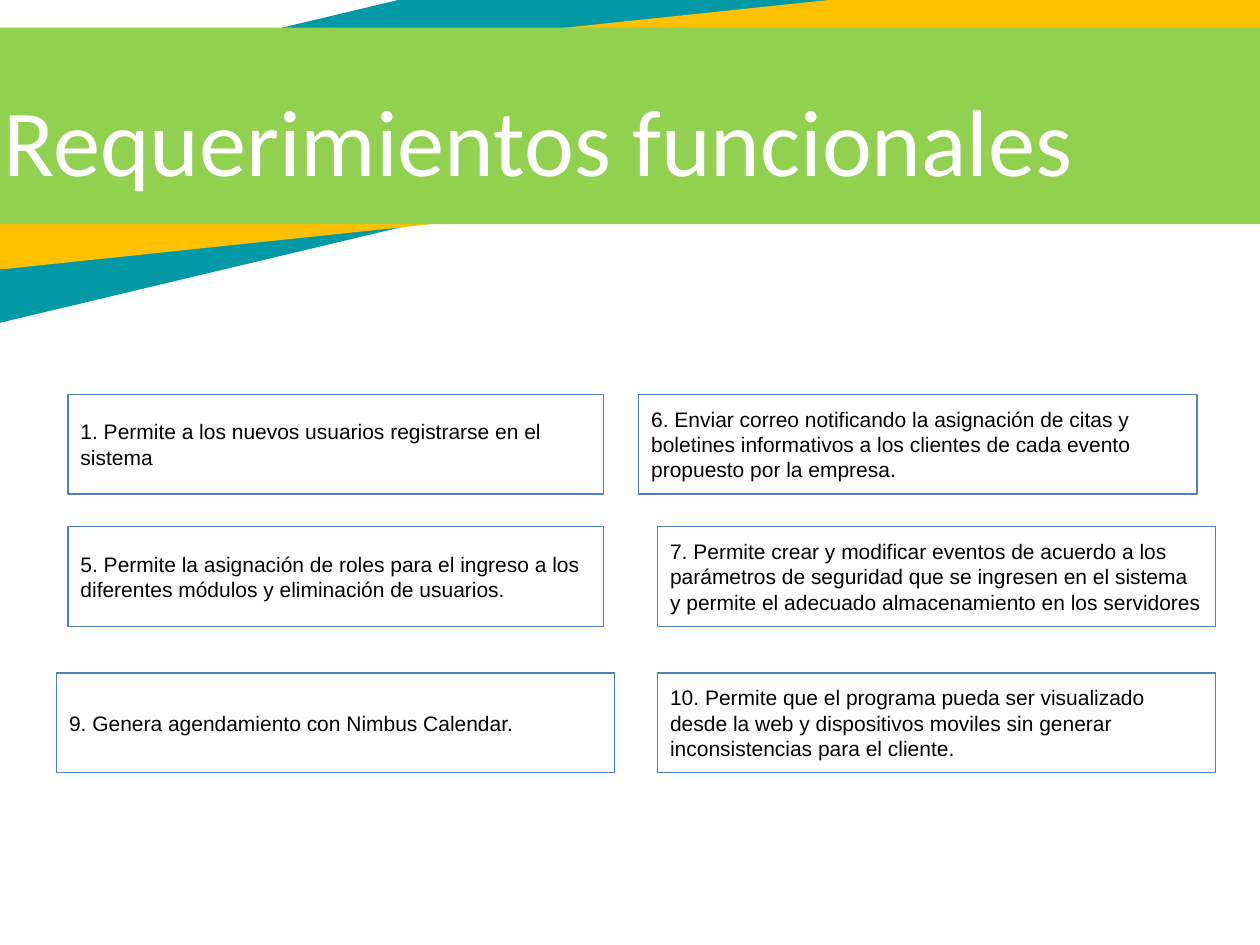
from typing import NamedTuple

from pptx import Presentation
from pptx.dml.color import RGBColor
from pptx.enum.shapes import MSO_SHAPE
from pptx.enum.text import MSO_ANCHOR, PP_ALIGN
from pptx.util import Inches, Pt

RECTANGLE = MSO_SHAPE.RECTANGLE
MIDDLE = MSO_ANCHOR.MIDDLE
LEFT = PP_ALIGN.LEFT

BOX_HEIGHT = 0.79
NARROW, WIDE = 4.25, 4.43
ROW_TOPS = (3.13, 4.18, 5.34)


class Band(NamedTuple):
    left: float
    top: float
    width: float
    height: float
    rotation: float
    color: str


class Requirement(NamedTuple):
    left: float
    row: int
    width: float
    text: str


BANDS = [
    Band(-2.51, -0.18, 13.06, 1.76, 346.6, "0099A5"),
    Band(-1.1, 0.2, 11.63, 1.44, 354, "FFC000"),
    Band(-1.06, 0.22, 11.63, 1.56, 0, "92D050"),
]

REQUIREMENTS = [
    Requirement(0.54, 0, NARROW, "1. Permite a los nuevos usuarios registrarse en el sistema"),
    Requirement(0.54, 1, NARROW, "5. Permite la asignación de roles para el ingreso a los "
                "diferentes módulos y eliminación de usuarios."),
    Requirement(5.07, 0, WIDE, "6. Enviar correo notificando la asignación de citas y boletines "
                "informativos a los clientes de cada evento propuesto por la empresa."),
    Requirement(5.22, 1, WIDE, "7. Permite crear y modificar eventos de acuerdo a los parámetros "
                "de seguridad que se ingresen en el sistema y permite el adecuado "
                "almacenamiento en los servidores"),
    Requirement(0.45, 2, WIDE, "9. Genera agendamiento con Nimbus Calendar."),
    Requirement(5.22, 2, WIDE, "10. Permite que el programa pueda ser visualizado desde la web y "
                "dispositivos moviles sin generar inconsistencias para el cliente."),
]


def rgb(color: str) -> RGBColor:
    return RGBColor.from_string(color)


def write(shape, text: str, font_name: str, size: float, color: str) -> None:
    frame = shape.text_frame
    frame.text = text
    frame.word_wrap = True
    frame.vertical_anchor = MIDDLE
    paragraph = frame.paragraphs[0]
    paragraph.alignment = LEFT
    font = paragraph.runs[0].font
    font.name = font_name
    font.size = Pt(size)
    font.color.rgb = rgb(color)


def add_rectangle(slide, left: float, top: float, width: float, height: float):
    shape = slide.shapes.add_shape(
        RECTANGLE, Inches(left), Inches(top), Inches(width), Inches(height))
    shape.shadow.inherit = False
    return shape


def draw_band(slide, band: Band) -> None:
    shape = add_rectangle(slide, band.left, band.top, band.width, band.height)
    shape.rotation = band.rotation
    shape.fill.solid()
    shape.fill.fore_color.rgb = rgb(band.color)
    shape.line.fill.background()


def draw_title(slide, text: str) -> None:
    title = slide.shapes.add_textbox(Inches(-0.07), Inches(0.62), Inches(9.39), Inches(0.97))
    write(title, text, "Calibri", 54, "FFFFFF")


def draw_requirement(slide, requirement: Requirement) -> None:
    box = add_rectangle(
        slide, requirement.left, ROW_TOPS[requirement.row], requirement.width, BOX_HEIGHT)
    box.fill.background()
    box.line.color.rgb = rgb("4F81BD")
    box.line.width = Pt(0.75)
    write(box, requirement.text, "Arial", 12, "000000")


def main() -> None:
    presentation = Presentation()
    presentation.slide_width = Inches(10)
    presentation.slide_height = Inches(7.5)
    slide = presentation.slides.add_slide(presentation.slide_layouts[6])
    for band in BANDS:
        draw_band(slide, band)
    draw_title(slide, "Requerimientos funcionales")
    for requirement in REQUIREMENTS:
        draw_requirement(slide, requirement)
    presentation.save("out.pptx")


if __name__ == "__main__":
    main()
